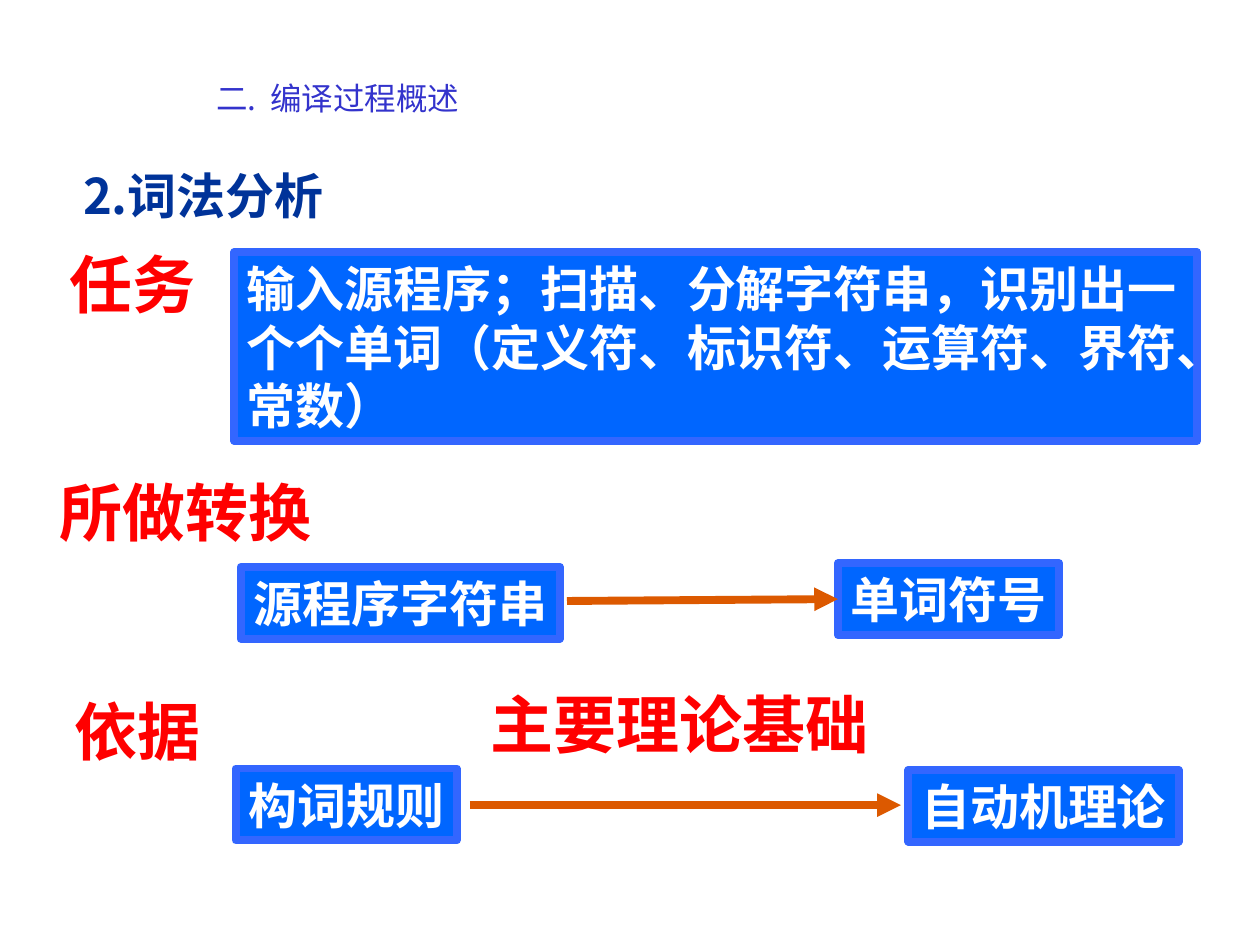
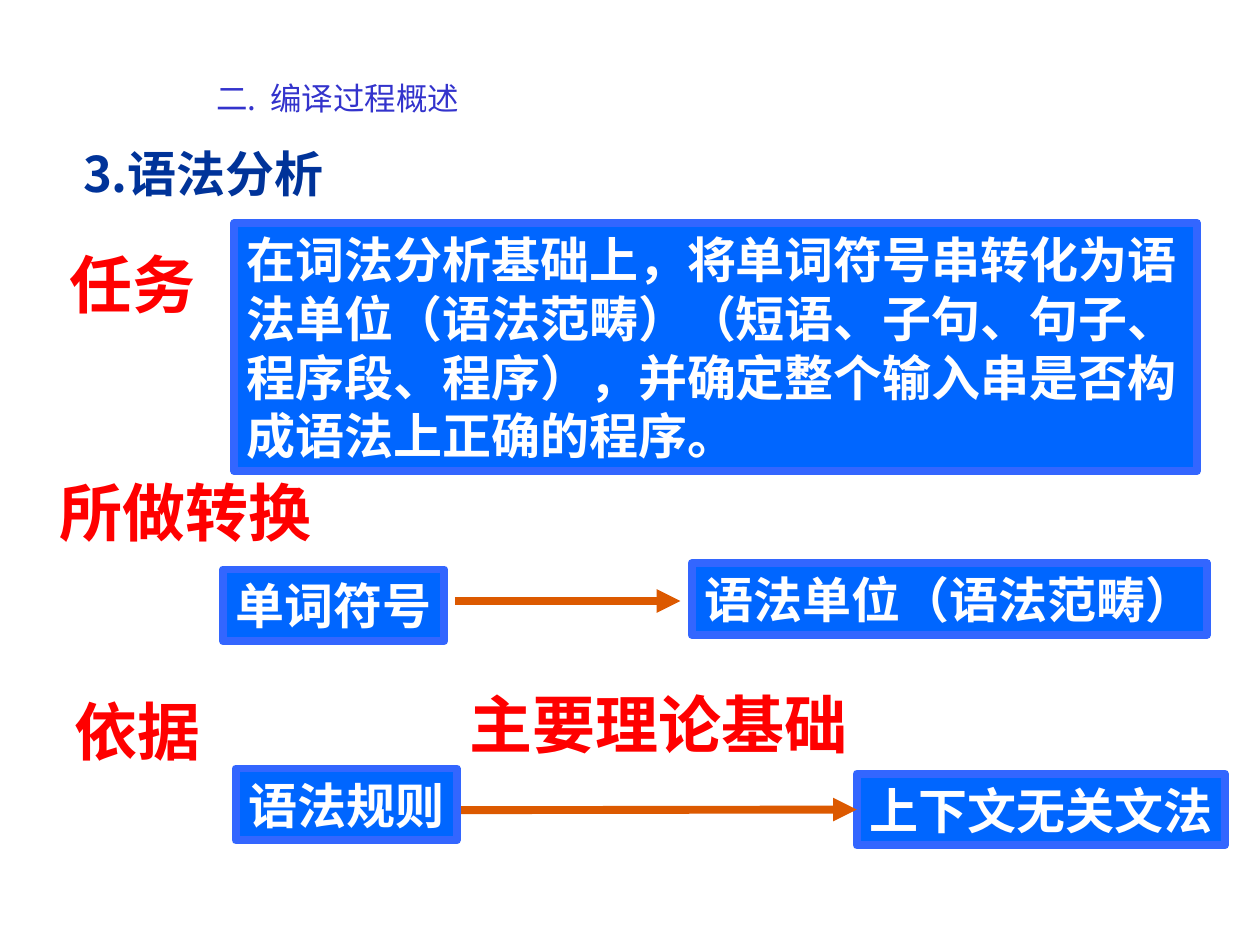
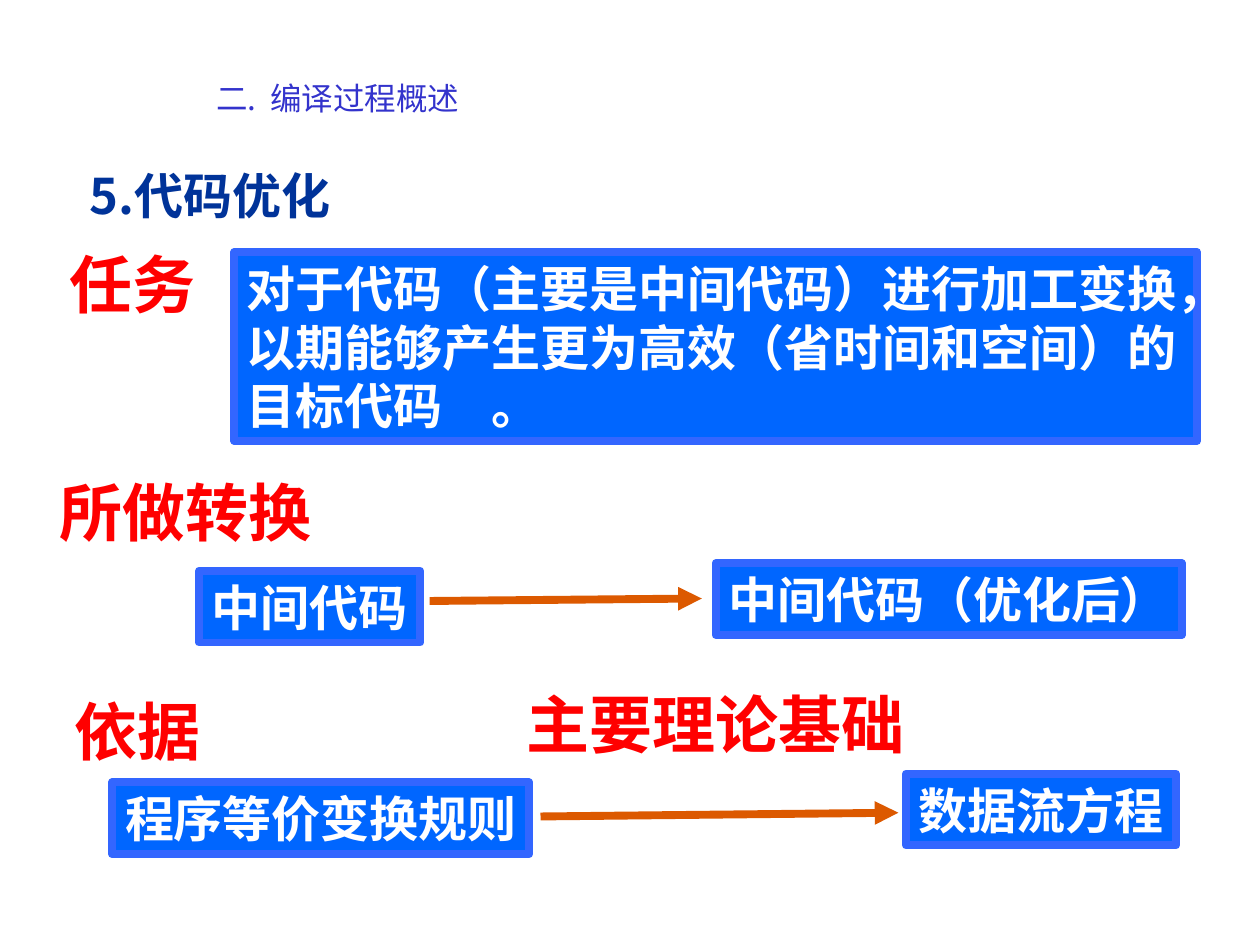
from dataclasses import dataclass
from math import hypot

from lxml import etree
from pptx import Presentation
from pptx import util as u
from pptx.dml.color import RGBColor
from pptx.enum import shapes, text
from pptx.oxml import ns


@dataclass(frozen=True)
class Theme:
    """Hold the colours, type sizes and line width of the deck."""
    font: str = "Noto Sans CJK SC"
    head: str = "3333CC"
    title: str = "003399"
    label: str = "FF0000"
    fill: str = "0066FF"
    edge: str = "3366FF"
    arrow: str = "DC5900"
    white: str = "FFFFFF"
    small: int = 18
    mid: int = 28
    big: int = 36
    line: float = 4.5


T = Theme()
COLS, ROWS = 100, 75
BOX_ROWS, LABEL_ROWS = 5.7, 7
NEAR = 0.5

LABELS = [("任务", 4.5, 19), ("所做转换", 3.7, 37.1), ("依据", 4.9, 54.5)]

STEPS = [
    dict(
        title=("2.词法分析", 5.6, 12.6),
        task=("输入源程序；扫描、分解字符串，识别出一个个单词"
              "（定义符、标识符、运算符、界符、常数）", 20, 15),
        theory=37.9,
        pairs=[
            (("源程序字符串", 19.1, 45), ("单词符号", 66.5, 44.7),
             (45, 47.7), (66.1, 47.5)),
            (("构词规则", 18.7, 61), ("自动机理论", 72.1, 61.1),
             (37.3, 63.9), (71.5, 63.9)),
        ],
    ),
    dict(
        title=("3.语法分析", 5.6, 10.9),
        task=("在词法分析基础上，将单词符号串转化为语法单位（语法范畴）"
              "（短语、子句、句子、程序段、程序），"
              "并确定整个输入串是否构成语法上正确的程序。", 17.7, 19.7),
        theory=36.3,
        pairs=[
            (("单词符号", 17.7, 45.2), ("语法单位（语法范畴）", 54.9, 44.7),
             (36.1, 47.7), (54, 47.7)),
            (("语法规则", 18.7, 61), ("上下文无关文法", 68, 61.4),
             (36.6, 64.3), (67.6, 64.3)),
        ],
    ),
    dict(
        title=("5.代码优化", 6.1, 12.6),
        task=("对于代码（主要是中间代码）进行加工变换，"
              "以期能够产生更为高效（省时间和空间）的目标代码　。", 20, 15),
        theory=40.8,
        pairs=[
            (("中间代码", 15.8, 45.3), ("中间代码（优化后）", 56.8, 44.7),
             (34.1, 47.7), (55.7, 47.5)),
            (("程序等价变换规则", 8.9, 62.1), ("数据流方程", 71.9, 61.4),
             (42.9, 64.8), (71.3, 64.5)),
        ],
    ),
]


def cell(n):
    """Turn a count of grid cells into a length."""
    return u.Inches(n * 10 / COLS)


def span(words, size):
    """Give the columns that a line of full-width characters needs."""
    return len(words) * size / 7.2 + 2


def write(frame, *parts, size=T.mid, color=T.white, bold=True,
          align="CENTER", anchor="MIDDLE", wrap=False, gaps=None):
    """Fill a text frame with one formatted paragraph."""
    frame.auto_size = text.MSO_AUTO_SIZE.NONE
    frame.word_wrap = wrap
    frame.vertical_anchor = getattr(text.MSO_ANCHOR, anchor)
    para = frame.paragraphs[0]
    para.alignment = getattr(text.PP_ALIGN, align)
    for part, gap in zip(parts, gaps or [0] * len(parts)):
        run = para.add_run()
        run.text = part
        font = run.font
        font.name, font.size, font.bold = T.font, u.Pt(size), bold
        font.color.rgb = RGBColor.from_string(color)
        props = run._r.get_or_add_rPr()
        props.find(ns.qn("a:latin")).addnext(
            etree.Element(ns.qn("a:ea"), typeface=T.font))
        if gap:
            props.set("spc", str(gap * 100))


def head(slide):
    """Add the chapter line."""
    area = slide.shapes.add_textbox(*map(cell, (3.2, 5.8, 47.2, 5)))
    write(area.text_frame, "二.", " ", "编译过程概述", gaps=(0, 4, 0),
          size=T.small, color=T.head, bold=False, anchor="TOP", wrap=True)


def title(slide, words, x, y):
    """Place and fill the title."""
    area = slide.shapes.title
    area.left, area.top, area.width, area.height = map(
        cell, (x, y, 26.3, BOX_ROWS))
    write(area.text_frame, words, color=T.title, align="LEFT",
          anchor="TOP", wrap=True)


def label(slide, words, x, y):
    """Add a red caption as wide as its words."""
    area = slide.shapes.add_textbox(
        *map(cell, (x, y, span(words, T.big), LABEL_ROWS)))
    write(area.text_frame, words, size=T.big, color=T.label)


def box(slide, words, x, y, wide=None, high=BOX_ROWS, **form):
    """Add a blue box, by default as wide as its words."""
    area = (x, y, wide or span(words, T.mid), high)
    rect = slide.shapes.add_shape(
        shapes.MSO_SHAPE.RECTANGLE, *map(cell, area))
    rect.shadow.inherit = False
    rect.fill.solid()
    rect.fill.fore_color.rgb = RGBColor.from_string(T.fill)
    rect.line.color.rgb = RGBColor.from_string(T.edge)
    rect.line.width = u.Pt(T.line)
    write(rect.text_frame, words, **form)
    return rect


def meets(point, rect, side):
    """Tell whether a point lies at the middle of a left or right side."""
    x = rect.left + (rect.width if side == 3 else 0)
    y = rect.top + rect.height / 2
    return hypot(cell(point[0]) - x, cell(point[1]) - y) < cell(NEAR)


def link(slide, first, last, start, end):
    """Draw an arrow and join the ends that meet a box."""
    line = slide.shapes.add_connector(
        shapes.MSO_CONNECTOR.STRAIGHT, *map(cell, start + end))
    line.line.color.rgb = RGBColor.from_string(T.arrow)
    line.line.width = u.Pt(T.line)
    props = line._element.spPr
    etree.SubElement(props.find(ns.qn("a:ln")), ns.qn("a:tailEnd"),
                     type="triangle")
    etree.SubElement(props, ns.qn("a:effectLst"))
    if meets(start, first, 3):
        line.begin_connect(first, 3)
    if meets(end, last, 1):
        line.end_connect(last, 1)


def step(deck, data):
    """Build the slide for one compiling step."""
    slide = deck.slides.add_slide(deck.slide_layouts[5])
    head(slide)
    title(slide, *data["title"])
    for item in LABELS:
        label(slide, *item)
    label(slide, "主要理论基础", data["theory"], 53.9)
    words, top, high = data["task"]
    box(slide, words, 18.6, top, 76.4, high, align="LEFT", wrap=True)
    for left, right, start, end in data["pairs"]:
        link(slide, box(slide, *left), box(slide, *right), start, end)


def main():
    """Build and save the deck."""
    deck = Presentation()
    deck.slide_width, deck.slide_height = cell(COLS), cell(ROWS)
    for data in STEPS:
        step(deck, data)
    deck.save("out.pptx")


if __name__ == "__main__":
    main()
